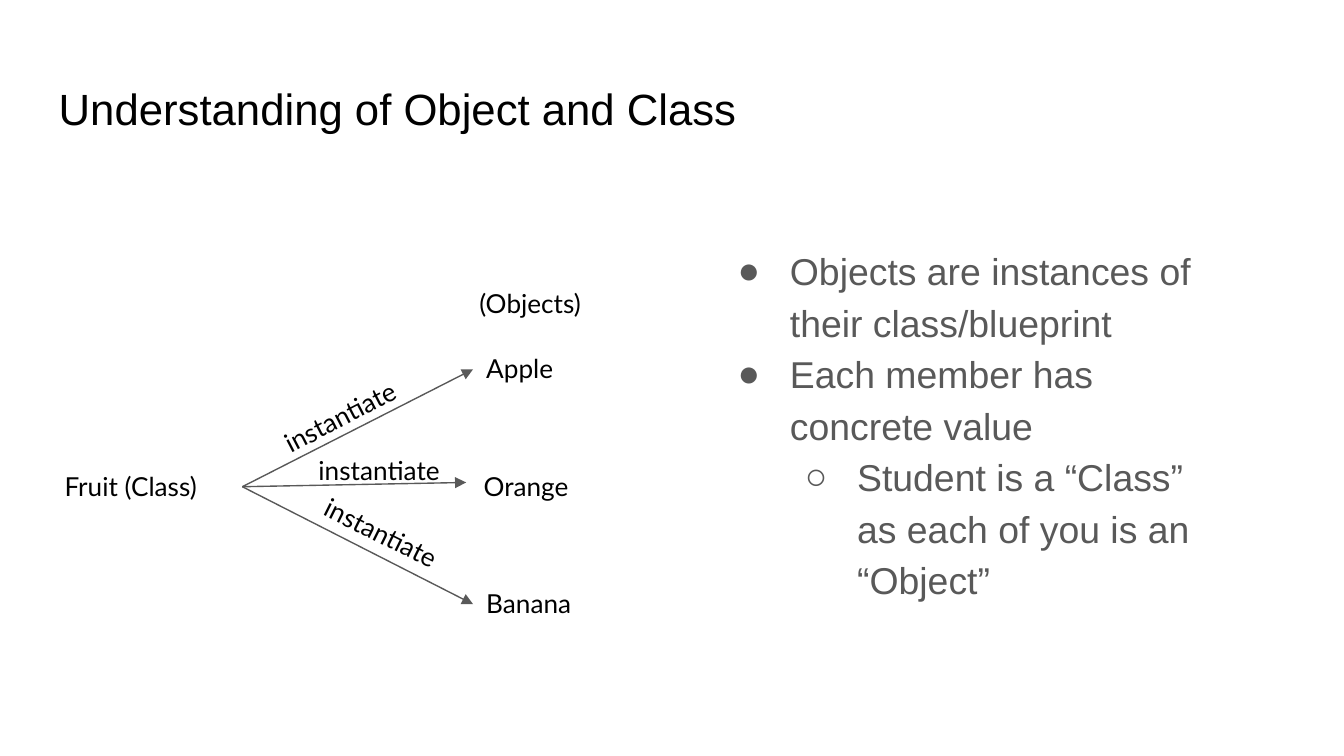
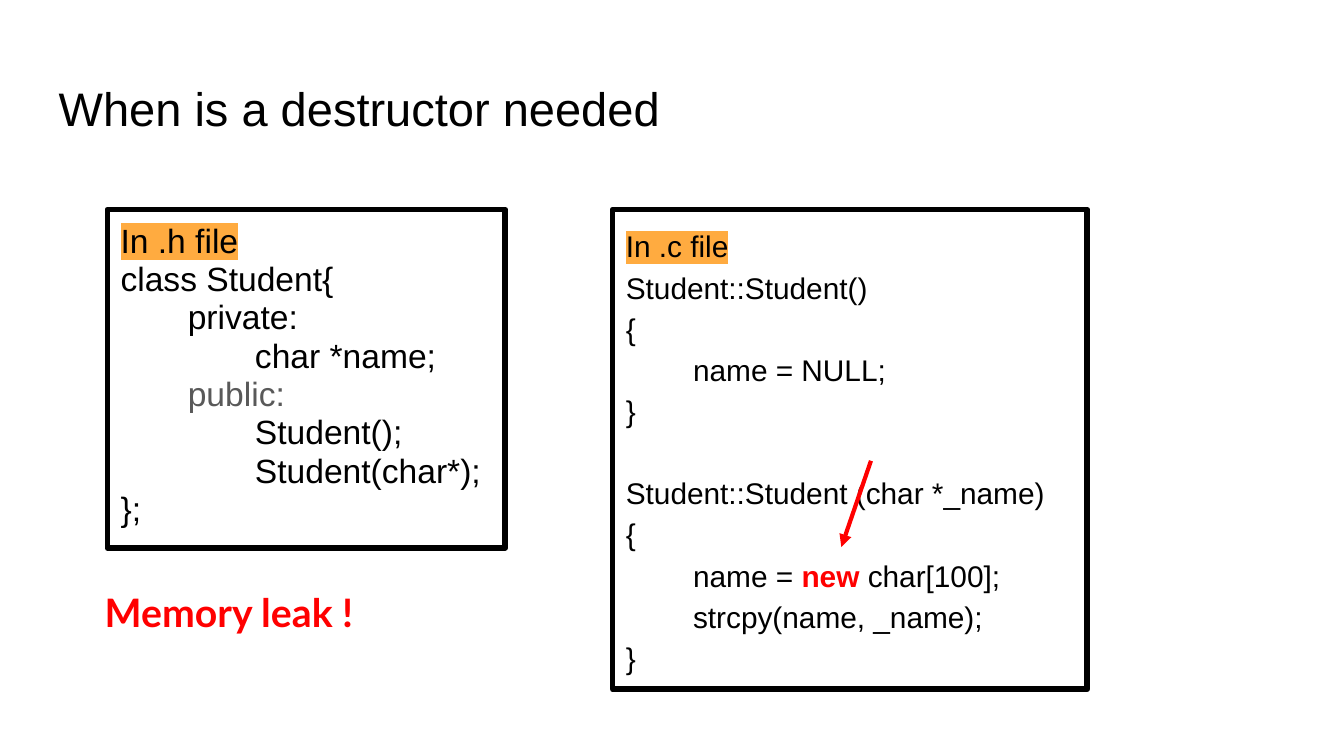
from dataclasses import dataclass

import lxml.etree
import pptx
import pptx.dml.color
import pptx.enum.shapes
import pptx.enum.text
import pptx.oxml.ns
import pptx.util

Cm = pptx.util.Cm
Pt = pptx.util.Pt
qn = pptx.oxml.ns.qn

HUES = {"paper": "FFFFFF", "ink": "000000", "gray": "595959",
        "red": "FF0000", "mark": "FFAB40"}
STEP = 1.27  # one indent level, cm
INSET = 0.25


@dataclass(frozen=True)
class Run:
    text: str
    hue: str = "ink"
    bold: bool = False
    mark: bool = False


@dataclass(frozen=True)
class Line:
    runs: tuple[Run, ...]
    level: int = 0
    dot: str = ""
    gap: float = 0  # space before, pt


@dataclass(frozen=True)
class Box:
    left: float
    top: float
    width: float
    height: float
    lines: tuple[Line, ...]
    size: float
    font: str = "Arial"
    pitch: float = 1.0
    turn: float = 0
    frame: bool = False
    mid: bool = False


def color(name: str) -> pptx.dml.color.RGBColor:
    return pptx.dml.color.RGBColor.from_string(HUES[name])


def plain(text: str, level: int = 0, hue: str = "ink", **more) -> Line:
    return Line((Run(text, hue),), level, **more)


# Text
def add_run(para, run: Run, box: Box) -> None:
    part = para.add_run()
    part.text = run.text
    font = part.font
    font.size = Pt(box.size)
    font.bold = run.bold
    font.color.rgb = color(run.hue)
    if run.mark:
        props = part._r.get_or_add_rPr()
        light = lxml.etree.SubElement(props, qn("a:highlight"))
        lxml.etree.SubElement(light, qn("a:srgbClr"), val=HUES["mark"])
    font.name = box.font


def add_line(para, line: Line, box: Box) -> None:
    para.alignment = pptx.enum.text.PP_ALIGN.LEFT
    para.line_spacing = box.pitch
    if line.gap:
        para.space_before = Pt(line.gap)
    props = para._p.get_or_add_pPr()
    props.set("marL", str(Cm(line.level * STEP)))
    props.set("indent", str(Cm(-0.99) if line.dot else 0))
    if line.dot:
        tint = lxml.etree.SubElement(props, qn("a:buClr"))
        lxml.etree.SubElement(tint, qn("a:srgbClr"), val=HUES["gray"])
        lxml.etree.SubElement(props, qn("a:buFont"), typeface="Arial")
        lxml.etree.SubElement(props, qn("a:buChar"), char=line.dot)
    for run in line.runs:
        add_run(para, run, box)


def add_box(slide, box: Box):
    place = [Cm(n) for n in (box.left, box.top, box.width, box.height)]
    if box.frame:
        shape = slide.shapes.add_shape(
            pptx.enum.shapes.MSO_SHAPE.RECTANGLE, *place)
        shape.shadow.inherit = False
        shape.fill.background()
        shape.line.color.rgb = color("ink")
        shape.line.width = Pt(3)
    else:
        shape = slide.shapes.add_textbox(*place)
    shape.rotation = box.turn
    frame = shape.text_frame
    frame.word_wrap = True
    anchor = pptx.enum.text.MSO_ANCHOR
    frame.vertical_anchor = anchor.MIDDLE if box.mid else anchor.TOP
    frame.margin_left = frame.margin_right = Cm(INSET)
    frame.margin_top = frame.margin_bottom = Cm(INSET)
    for spot, line in enumerate(box.lines):
        para = frame.add_paragraph() if spot else frame.paragraphs[0]
        add_line(para, line, box)
    return shape


# Arrows
def add_arrow(slide, start: tuple[float, float], tip: tuple[float, float],
              hue: str, width: float):
    arrow = slide.shapes.add_connector(
        pptx.enum.shapes.MSO_CONNECTOR.STRAIGHT,
        *[Cm(n) for n in (*start, *tip)])
    arrow.line.color.rgb = color(hue)
    arrow.line.width = Pt(width)
    props = arrow._element.spPr
    lxml.etree.SubElement(props.find(qn("a:ln")), qn("a:tailEnd"), type="triangle")
    lxml.etree.SubElement(props, qn("a:effectLst"))
    return arrow


def new_slide(deck, title: str, size: float):
    slide = deck.slides.add_slide(deck.slide_layouts[6])
    slide.background.fill.solid()
    slide.background.fill.fore_color.rgb = color("paper")
    add_box(slide, Box(0.86, 1.24, 23.67, 1.6, (plain(title),), size, mid=True))
    return slide


def label(text: str, left: float, top: float, width: float, turn: float = 0) -> Box:
    return Box(left, top, width, 1.12, (plain(text),), 14, "Lato", turn=turn)


# Slide 1: class and objects
POINTS = (
    plain("Objects are instances of their class/blueprint", 1, "gray", dot="●"),
    plain("Each member has concrete value", 1, "gray", dot="●"),
    plain("Student is a “Class” as each of you is an “Object”", 2, "gray", dot="○"),
)
FRUITS = (("Apple", 8.94, 4.24), ("Orange", 8.89, 2.9), ("Banana", 8.94, 2.39))
VERBS = ((5.0, 7.19, -27.4), (5.77, 8.33, 0), (5.77, 9.65, 26.4))


def draw_fruit(deck) -> None:
    slide = new_slide(deck, "Understanding of Object and Class", 23.4)
    add_box(slide, Box(13.41, 4.32, 9.58, 8.03, POINTS, 20, pitch=1.15))
    root = add_box(slide, label("Fruit (Class)", 0.97, 8.64, 3.61))
    for row, (name, left, width) in enumerate(FRUITS):
        top = 6.42 + 2.22 * row
        leaf = add_box(slide, label(name, left, top, width))
        arrow = add_arrow(slide, (4.58, 9.2), (8.81, 9.12), "gray", 0.75)
        arrow.begin_connect(root, 3)
        if name != "Orange":  # the middle arrow stops short of its label
            arrow.end_connect(leaf, 1)
    for left, top, turn in VERBS:
        add_box(slide, label("instantiate", left, top, 3.38, turn))
    add_box(slide, label("(Objects)", 8.81, 5.18, 3.84))


# Slide 2: header and source code
HEADER = (
    Line((Run("In .h file", mark=True),)),
    plain("class Student{"),
    plain("private:", 1),
    plain("char *name;", 2),
    plain("public:", 1, "gray"),
    plain("Student();", 2),
    plain("Student(char*);", 2),
    plain("};"),
)
SOURCE = (
    Line((Run("In .c file", mark=True),)),
    plain("Student::Student()"),
    plain("{"),
    plain("name = NULL;", 1),
    plain("}"),
    plain("Student::Student (char *_name)", gap=22),
    plain("{"),
    Line((Run("name = "), Run("new", "red", True), Run(" char[100];")), 1),
    plain("strcpy(name, _name);", 1),
    plain("}"),
)


def draw_code(deck) -> None:
    slide = new_slide(deck, "When is a destructor needed", 25.2)
    add_box(slide, Box(2.03, 3.96, 7.52, 6.4, HEADER, 18, pitch=0.95, frame=True))
    add_box(slide, Box(11.58, 3.96, 8.97, 9.07, SOURCE, 16, pitch=1.15, frame=True))
    alert = Line((Run("Memory leak !", "red", True),))
    add_box(slide, Box(1.73, 10.87, 8.1, 1.42, (alert,), 21, "Lato"))
    add_arrow(slide, (16.46, 8.71), (15.9, 10.34), "red", 2.25)


def main() -> None:
    deck = pptx.Presentation()
    deck.slide_width, deck.slide_height = Cm(25.4), Cm(14.29)
    draw_fruit(deck)
    draw_code(deck)
    deck.save("out.pptx")


if __name__ == "__main__":
    main()
